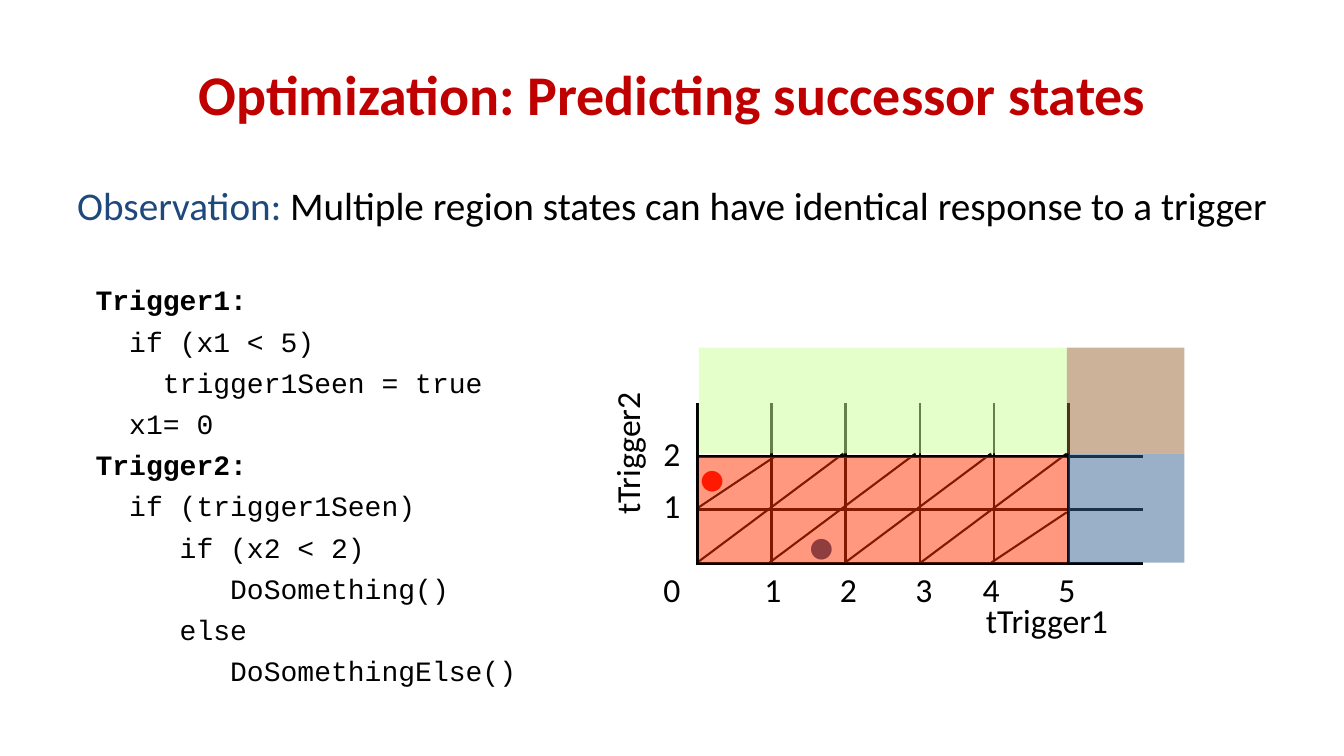
import pptx
import pptx.dml.color
import pptx.enum.shapes
import pptx.enum.text
import pptx.oxml
import pptx.oxml.ns
import pptx.util

ALIGN = pptx.enum.text.PP_ALIGN
ANCHOR = pptx.enum.text.MSO_ANCHOR

prs = pptx.Presentation()
prs.slide_width = pptx.util.Inches(13.33)
prs.slide_height = pptx.util.Inches(7.5)
U = prs.slide_width / 160
s = prs.slides.add_slide(prs.slide_layouts[1])


def rgb(color):
    return pptx.dml.color.RGBColor.from_string(color)


def text(p, words, size=24, color="000000", font="Calibri", bold=False, align=ALIGN.CENTER):
    p.alignment = align
    r = p.add_run()
    r.text = words
    r.font.size = pptx.util.Pt(size)
    r.font.name = font
    r.font.bold = bold
    r.font.color.rgb = rgb(color)


title, body = s.shapes.title, s.placeholders[1]
for sp, box in ((title, (8, 3.6, 144, 15)), (body, (0, 21, 160, 9.8))):
    sp.left, sp.top, sp.width, sp.height = [int(v * U) for v in box]
    sp.text_frame.auto_size = pptx.enum.text.MSO_AUTO_SIZE.NONE
    sp.text_frame.word_wrap = True

title.text_frame.vertical_anchor = ANCHOR.MIDDLE
text(title.text_frame.paragraphs[0], "Optimization: Predicting successor states",
     size=40, color="C00000", bold=True)

p = body.text_frame.paragraphs[0]
pPr = p._p.get_or_add_pPr()
pPr.set("marL", "0")
pPr.set("indent", "0")
pPr.append(pptx.oxml.parse_xml(f'<a:buNone {pptx.oxml.ns.nsdecls("a")}/>'))
p.space_before = pptx.util.Pt(0)
text(p, "Observation: ", size=28, color="1F497D")
text(p, "Multiple region states can have identical response to a trigger", size=28)

code = """Trigger1:
  if (x1 < 5)
    trigger1Seen = true
  x1= 0
Trigger2:
  if (trigger1Seen)
     if (x2 < 2)
        DoSomething()
     else
        DoSomethingElse()"""
tf = s.shapes.add_textbox(*[int(v * U) for v in (10.2, 33.1, 54, 49)]).text_frame
tf.word_wrap = True
for i, line in enumerate(code.split("\n")):
    p = tf.add_paragraph() if i else tf.paragraphs[0]
    p.space_before = pptx.util.Pt(5.4 if i else 0)
    text(p, line, size=20, font="Courier New", bold=line.startswith("Trigger"), align=ALIGN.LEFT)

ROWS, COLS = 3, 6
grid = s.shapes.add_table(ROWS, COLS, *[int(v * U) for v in (83, 48, 53.04, 19.08)]).table
grid.first_row = grid.horz_banding = False
for row in range(ROWS):
    for col in range(COLS):
        cell = grid.cell(row, col)
        tcPr = cell._tc.get_or_add_tcPr()
        edges = (("lnL", True), ("lnR", col < COLS - 1), ("lnT", row > 0), ("lnB", True))
        for edge, drawn in edges:
            paint = '<a:solidFill><a:srgbClr val="000000"/></a:solidFill>' if drawn else "<a:noFill/>"
            tcPr.append(pptx.oxml.parse_xml(
                f'<a:{edge} {pptx.oxml.ns.nsdecls("a")} w="28575">{paint}</a:{edge}>'))
        cell.fill.background()

diagonals = [
    (83, 67, 100.4, 54), (91.6, 67, 109, 54), (100.6, 67, 118, 54),
    (109.6, 67, 127, 54), (118, 67, 127, 61), (83.2, 60.4, 92.2, 54.4),
]
for ends in diagonals:
    cn = s.shapes.add_connector(pptx.enum.shapes.MSO_CONNECTOR.STRAIGHT, *[int(v * U) for v in ends])
    cn.line.color.rgb = rgb("000000")
    cn.line.width = pptx.util.Pt(1.5)
    cn._element.spPr.append(pptx.oxml.parse_xml(f'<a:effectLst {pptx.oxml.ns.nsdecls("a")}/>'))

labels = [
    ("tTrigger1", (110, 70.9, 29.3, 6), 0, {}),
    ("tTrigger2", (62.5, 51, 24.2, 6), 270, {}),
]
for n, x in enumerate((92, 101, 110, 118, 127), 1):
    labels.append((str(n), (x - 3, 67.1, 6, 6), 0, {}))
for n, y in enumerate((67.2, 57.1, 51)):
    labels.append((str(n), (77, y, 6, 6), 0, {}))
for x, y, color in ((82, 53, "FF0000"), (95, 61, "1F497D")):
    labels.append(("●", (x, y, 5, 7.7), 0, {"size": 32, "color": color, "align": ALIGN.LEFT}))
for words, box, turn, style in labels:
    sp = s.shapes.add_textbox(*[int(v * U) for v in box])
    sp.rotation = turn
    sp.text_frame.word_wrap = True
    text(sp.text_frame.paragraphs[0], words, **style)

regions = [
    ((83.2, 54.4, 43.8, 12.6), "FF3300"),
    ((83.2, 41.4, 43.8, 12.6), "CCFF99"),
    ((127.2, 54, 13.8, 13), "376092"),
    ((127, 41.4, 14, 12.6), "996633"),
]
for box, color in regions:
    sp = s.shapes.add_shape(pptx.enum.shapes.MSO_SHAPE.RECTANGLE, *[int(v * U) for v in box])
    sp.shadow.inherit = False
    sp.line.fill.background()
    sp.fill.solid()
    sp.fill.fore_color.rgb = rgb(color)
    clr = sp._element.spPr.find(".//" + pptx.oxml.ns.qn("a:srgbClr"))
    clr.append(pptx.oxml.parse_xml(f'<a:alpha {pptx.oxml.ns.nsdecls("a")} val="50000"/>'))

prs.save("out.pptx")
